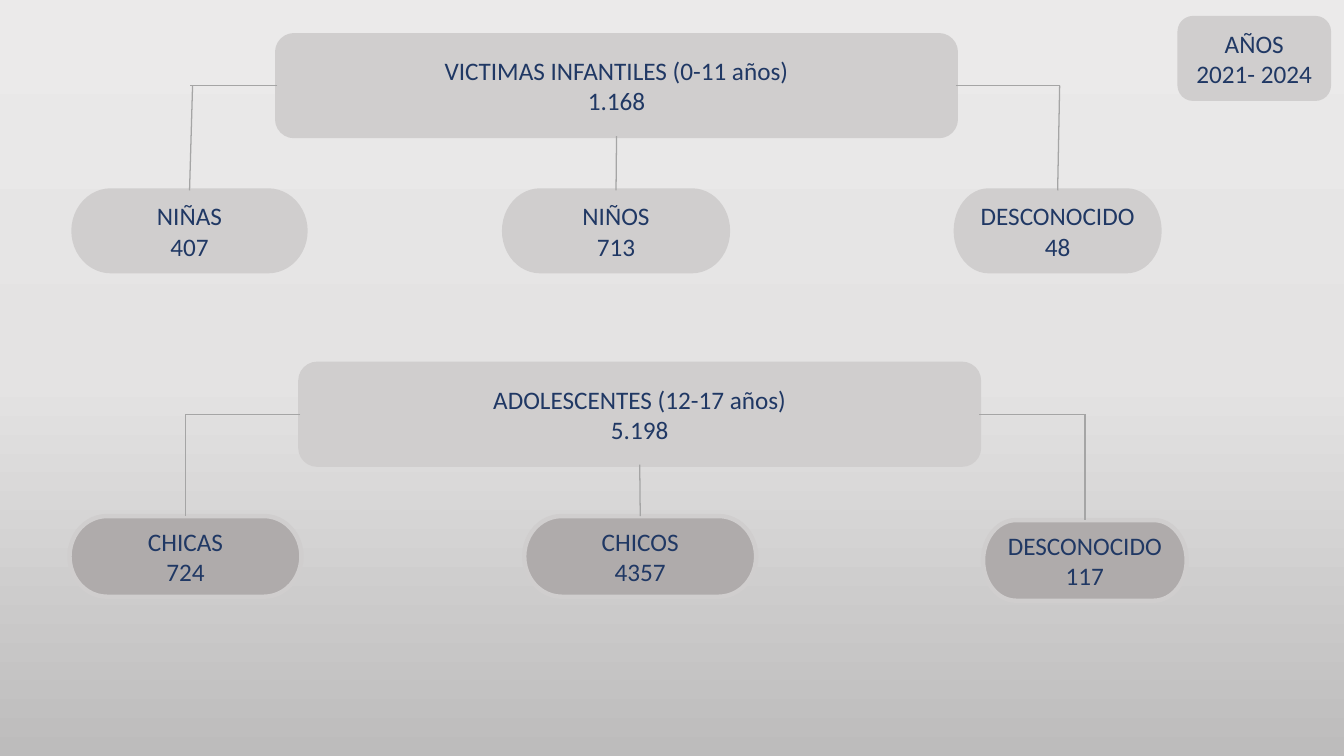
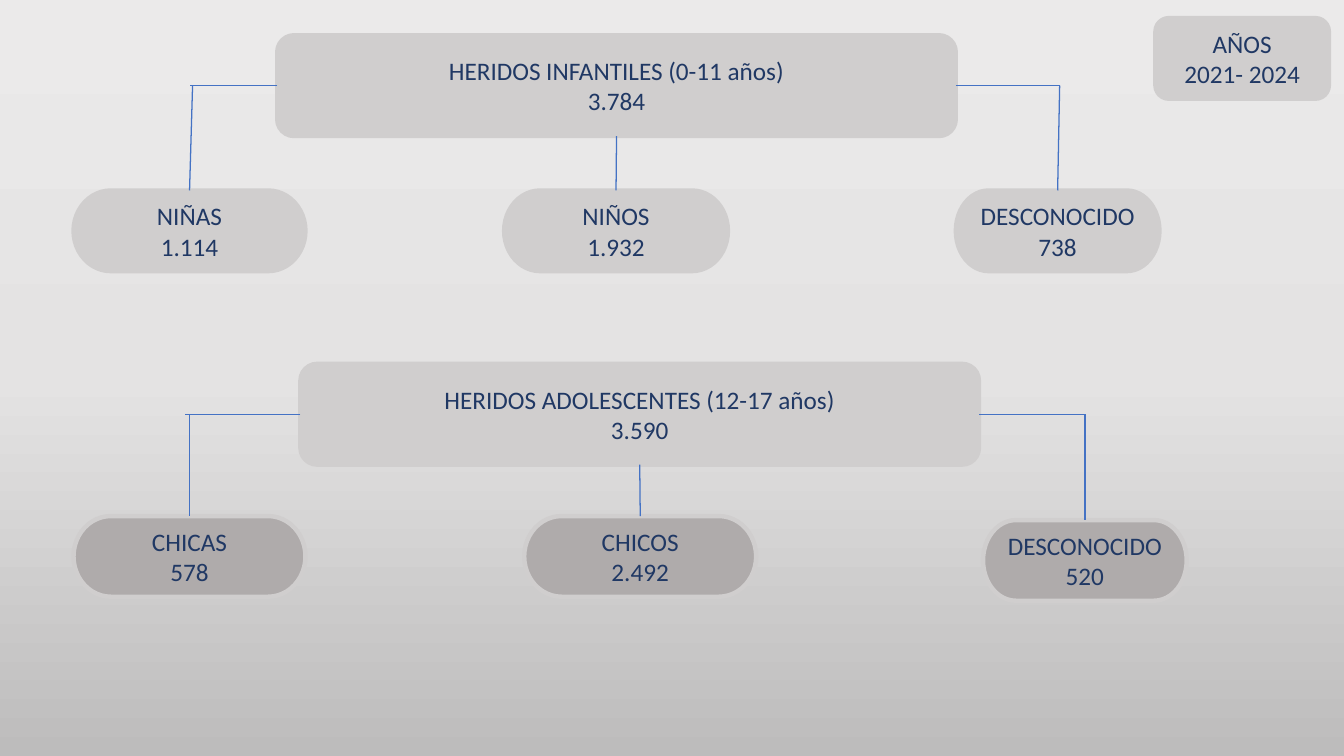
from copy import deepcopy
from dataclasses import dataclass

from lxml import etree
from pptx import Presentation
from pptx.dml import color
from pptx.enum import shapes, text
from pptx.oxml import ns
from pptx.util import Inches, Pt

TOP, LEFT, BOTTOM, RIGHT = range(4)


@dataclass(frozen=True)
class Theme:
    font: str = "Calibri"
    size: float = 18
    ink: str = "203864"
    light: str = "D0CECE"
    dark: str = "AFABAB"
    border_width: float = 3.15
    line_width: float = 0.9
    background: tuple = ((0, "EBEAEA"), (0.5, "E4E3E3"), (1, "BDBCBC"))


@dataclass(frozen=True)
class Box:
    left: float
    top: float
    width: float
    height: float
    preset: shapes.MSO_SHAPE
    fill: str


@dataclass(frozen=True)
class Tree:
    header: Box
    branches: tuple[Box, ...]
    arm_ends: tuple[float, float]
    drop_tops: tuple[float, float]


@dataclass(frozen=True)
class Page:
    years_box: Box
    years: tuple[str, ...]
    line_color: str
    girls_left: float
    tree_texts: tuple


THEME = Theme()
PILL = shapes.MSO_SHAPE.FLOWCHART_TERMINATOR
ROUNDED = shapes.MSO_SHAPE.ROUNDED_RECTANGLE
PROCESS = shapes.MSO_SHAPE.FLOWCHART_ALTERNATE_PROCESS

CHILDREN = Tree(
    header=Box(2.75, 0.35, 6.73, 1, ROUNDED, THEME.light),
    branches=tuple(Box(left, 1.89, width, 0.8, PILL, THEME.light)
                   for left, width in ((0.73, 2.3), (5, 2.22), (9.48, 2.02))),
    arm_ends=(1.88, 10.51),
    drop_tops=(1.91, 10.51),
)


def teenagers(girls_left: float) -> Tree:
    places = ((girls_left, 5.12, 2.3), (5.2, 5.12, 2.3), (9.75, 5.16, 2.02))
    return Tree(
        header=Box(2.98, 3.61, 6.73, 1, PROCESS, THEME.light),
        branches=tuple(Box(left, top, width, 0.8, PILL, THEME.dark)
                       for left, top, width in places),
        arm_ends=(1.84, 10.76),
        drop_tops=(girls_left + 1.15, 10.76),
    )


PAGES = (
    Page(
        Box(11.7, 0.18, 1.48, 0.8, ROUNDED, THEME.light),
        ("AÑOS 2021- 2024",), "A5A5A5", 0.69,
        (
            (("VICTIMAS INFANTILES (0-11 años)", "1.168"),
             ("NIÑAS", "407"), ("NIÑOS", "713"), ("DESCONOCIDO", "48")),
            (("ADOLESCENTES (12-17 años)", "5.198"),
             ("CHICAS", "724"), ("CHICOS", "4357"), ("DESCONOCIDO", "117")),
        ),
    ),
    Page(
        Box(11.46, 0.18, 1.72, 0.8, ROUNDED, THEME.light),
        ("AÑOS", "2021- 2024"), "4472C4", 0.73,
        (
            (("HERIDOS INFANTILES (0-11 años)", "3.784"),
             ("NIÑAS", "1.114"), ("NIÑOS", "1.932"), ("DESCONOCIDO", "738")),
            (("HERIDOS ADOLESCENTES (12-17 años)", "3.590"),
             ("CHICAS", "578"), ("CHICOS", "2.492"), ("DESCONOCIDO", "520")),
        ),
    ),
)


def rgb(value: str) -> color.RGBColor:
    return color.RGBColor.from_string(value)


def set_background(master) -> None:
    fill = master.background.fill
    fill.gradient()
    fill.gradient_angle = 270
    stop_list = master.element.xpath(".//p:bg//a:gsLst")[0]
    stop_list.append(deepcopy(stop_list[-1]))
    for stop, (position, value) in zip(fill.gradient_stops, THEME.background):
        stop.position = position
        stop.color.rgb = rgb(value)


def add_box(slide, box: Box, lines: tuple[str, ...]):
    sp = slide.shapes.add_shape(box.preset, Inches(box.left), Inches(box.top),
                                Inches(box.width), Inches(box.height))
    sp.shadow.inherit = False
    sp.fill.solid()
    sp.fill.fore_color.rgb = rgb(box.fill)
    sp.line.color.rgb = rgb(THEME.light)
    sp.line.width = Pt(THEME.border_width)
    tf = sp.text_frame
    tf.word_wrap = True
    tf.vertical_anchor = text.MSO_ANCHOR.MIDDLE
    tf.text = "\n".join(lines)
    for p in tf.paragraphs:
        p.alignment = text.PP_ALIGN.CENTER
        p.font.name = THEME.font
        p.font.size = Pt(THEME.size)
        p.font.color.rgb = rgb(THEME.ink)
    return sp


def add_line(slide, start: tuple[float, float], end: tuple[float, float], line_color: str):
    line = slide.shapes.add_connector(shapes.MSO_CONNECTOR.STRAIGHT,
                                      *(Inches(v) for v in start + end))
    line.line.color.rgb = rgb(line_color)
    line.line.width = Pt(THEME.line_width)
    etree.SubElement(line.element.spPr, ns.qn("a:effectLst"))
    return line


def add_tree(slide, tree: Tree, texts: tuple, line_color: str) -> None:
    head = tree.header
    header = add_box(slide, head, texts[0])
    branches = [add_box(slide, box, lines) for box, lines in zip(tree.branches, texts[1:])]

    center = head.left + head.width / 2
    stem = add_line(slide, (center, head.top + head.height),
                    (center, tree.branches[1].top), line_color)
    stem.begin_connect(header, BOTTOM)
    stem.end_connect(branches[1], TOP)

    middle = head.top + head.height / 2
    sides = ((LEFT, head.left, 0), (RIGHT, head.left + head.width, 2))
    for (site, edge, index), arm_end, drop_top in zip(sides, tree.arm_ends, tree.drop_tops):
        arm = add_line(slide, (edge, middle), (arm_end, middle), line_color)
        arm.begin_connect(header, site)
        box = tree.branches[index]
        drop = add_line(slide, (drop_top, middle),
                        (box.left + box.width / 2, box.top), line_color)
        drop.end_connect(branches[index], TOP)


def add_page(prs, page: Page) -> None:
    slide = prs.slides.add_slide(prs.slide_layouts.get_by_name("Blank"))
    for tree, texts in zip((CHILDREN, teenagers(page.girls_left)), page.tree_texts):
        add_tree(slide, tree, texts, page.line_color)
    add_box(slide, page.years_box, page.years)


def main() -> None:
    prs = Presentation()
    prs.slide_width, prs.slide_height = Inches(13.33), Inches(7.5)
    set_background(prs.slide_master)
    for page in PAGES:
        add_page(prs, page)
    prs.save("out.pptx")


if __name__ == "__main__":
    main()
